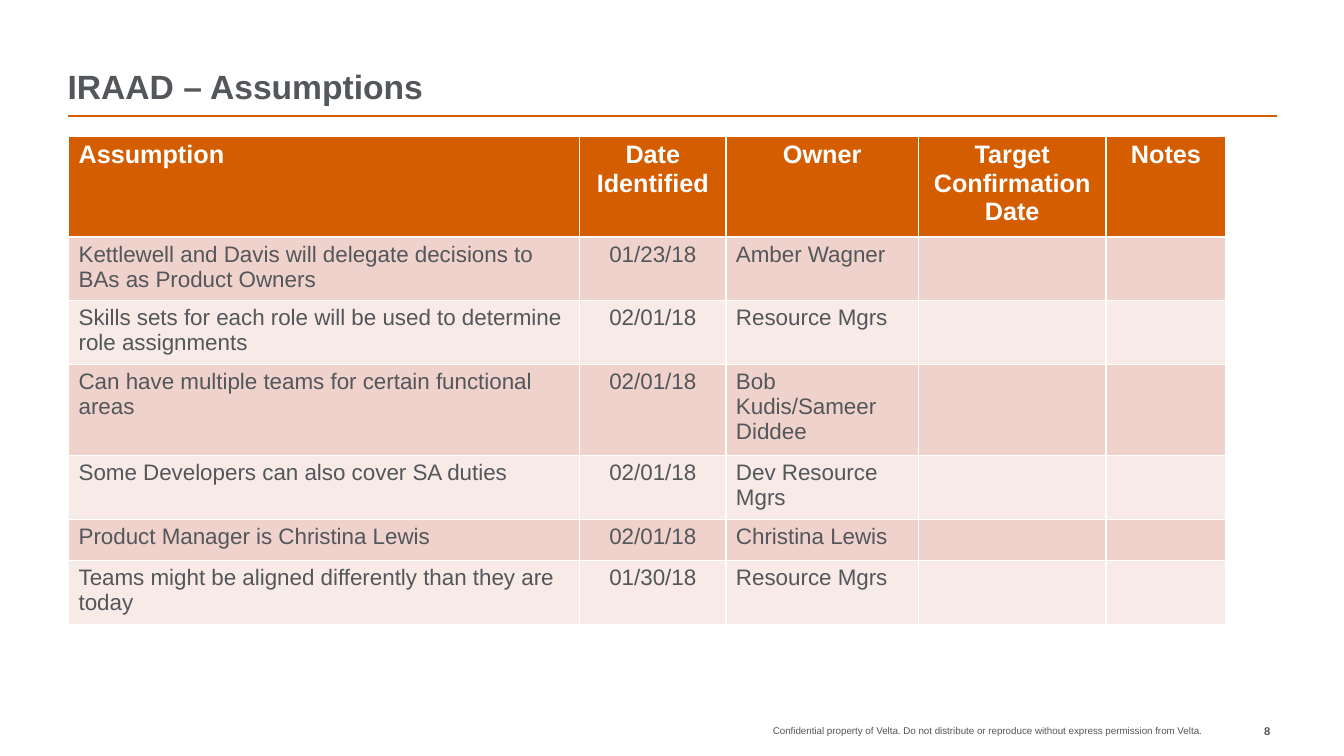
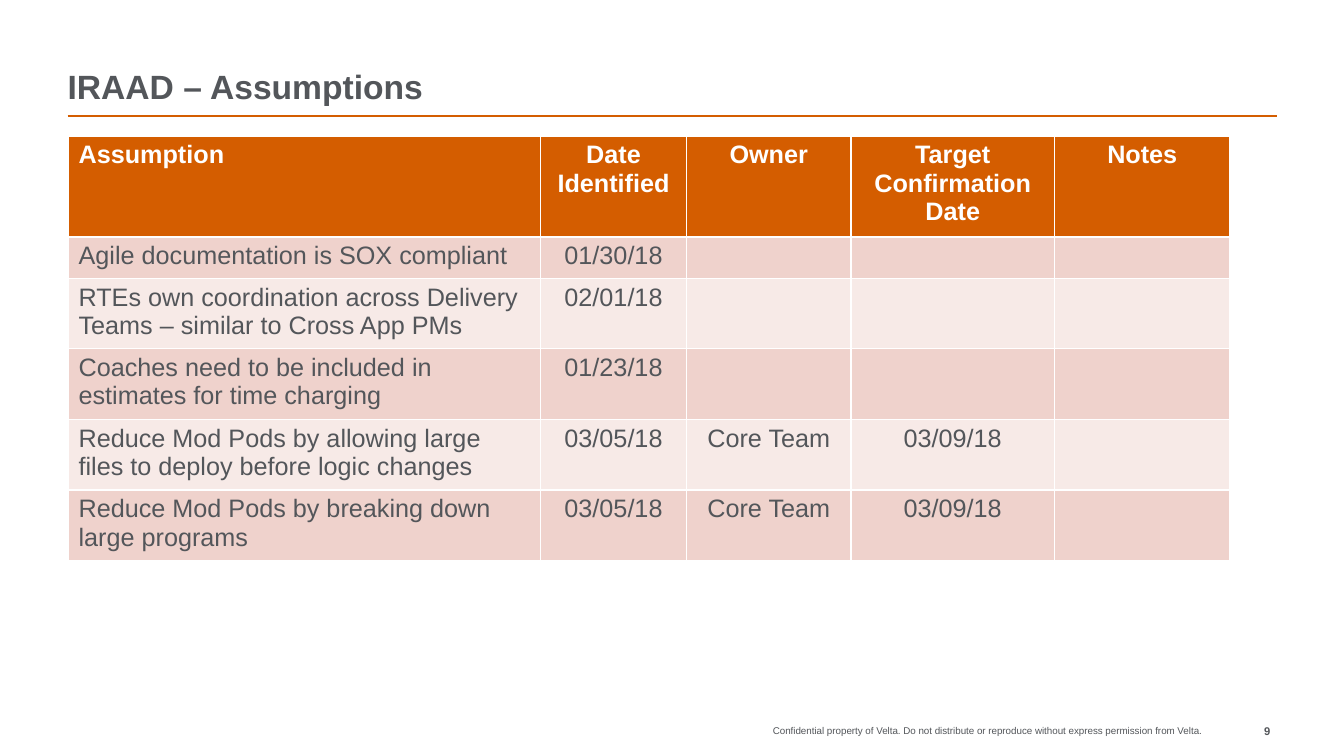
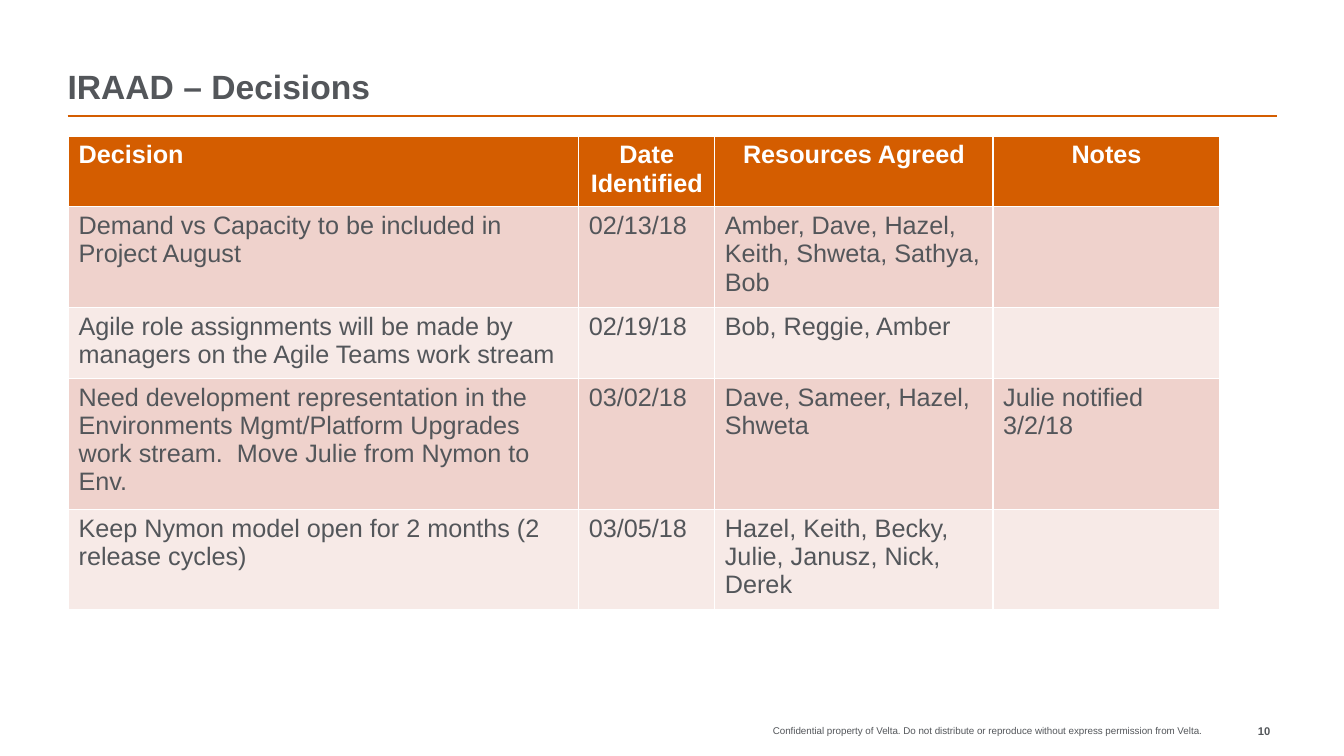
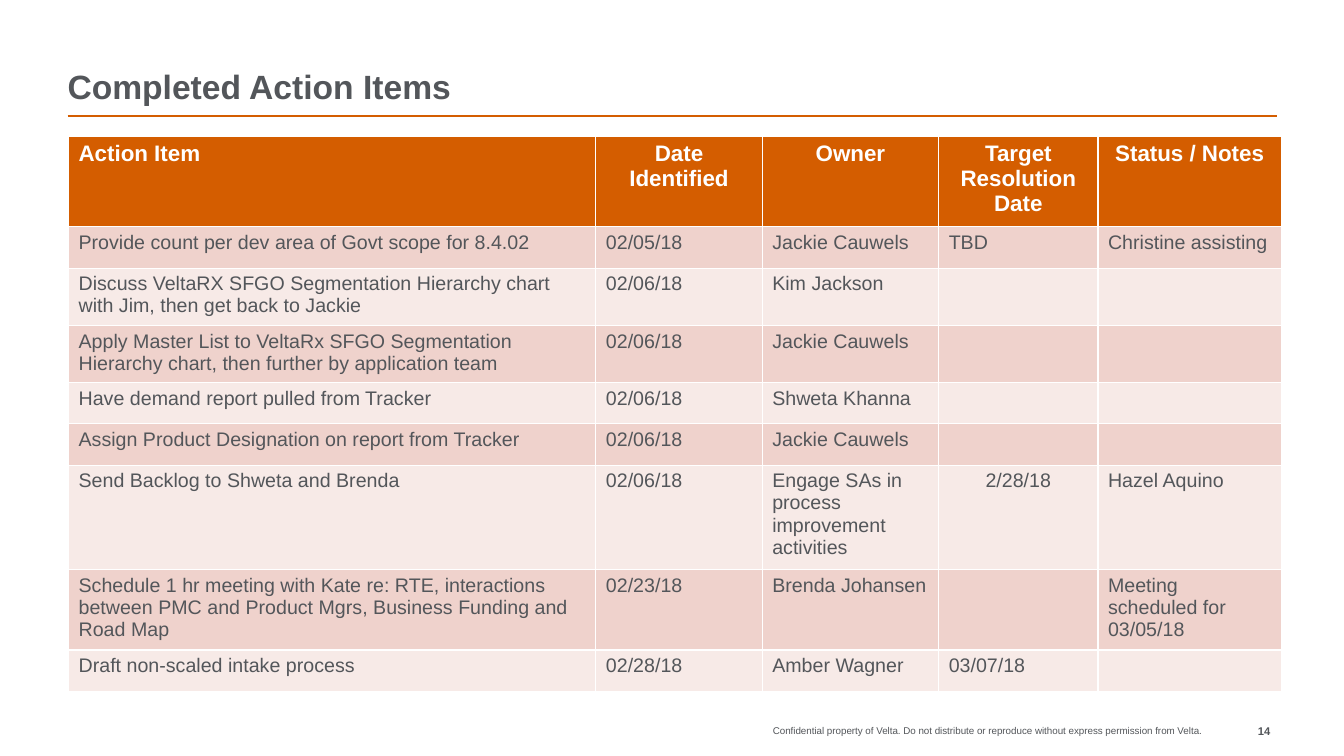
from lxml.etree import SubElement
from pptx import Presentation
from pptx.dml.color import RGBColor
from pptx.enum.shapes import MSO_CONNECTOR as Connector
from pptx.enum.text import MSO_ANCHOR as Anchor, PP_ALIGN as Align
from pptx.oxml.ns import qn
from pptx.util import Inches, Pt

FONT = "Arial"
ORANGE = "D45D00"
GRAY = "53565A"
WHITE = "FFFFFF"
BANDS = ("EFD2CC", "F7EAE7")
ALIGNMENTS = {"l": Align.LEFT, "c": Align.CENTER, "r": Align.RIGHT}

SLIDE_WIDTH, SLIDE_HEIGHT = 13.33, 7.5
MARGIN, CONTENT_WIDTH = 0.67, 12
TITLE_TOP, TITLE_HEIGHT = 0.21, 0.84
RULE_TOP = 1.15
TABLE_LEFT, TABLE_TOP, ROW_HEIGHT = 0.68, 1.35, 0.41
FOOTER_LEFT, FOOTER_TOP, FOOTER_WIDTH, FOOTER_HEIGHT = 4.83, 7.19, 7.09, 0.23
NUMBER_LEFT, NUMBER_WIDTH = 11.93, 0.67

FOOTER = ("Confidential property of Velta. Do not distribute or reproduce "
          "without express permission from Velta.")
ASSUMPTION_HEADER = ("Assumption", "Date Identified", "Owner",
                     "Target Confirmation Date", "Notes")

TABLE_SLIDES = [
    dict(
        title="IRAAD – Assumptions", number=8,
        widths=(5.07, 1.45, 1.91, 1.86, 1.19), alignments="lclll",
        header_size=18, body_size=16, header=ASSUMPTION_HEADER,
        body=[
            ("Kettlewell and Davis will delegate decisions to BAs as Product Owners",
             "01/23/18", "Amber Wagner", "", ""),
            ("Skills sets for each role will be used to determine role assignments",
             "02/01/18", "Resource Mgrs", "", ""),
            ("Can have multiple teams for certain functional areas",
             "02/01/18", "Bob Kudis/Sameer Diddee", "", ""),
            ("Some Developers can also cover SA duties",
             "02/01/18", "Dev Resource Mgrs", "", ""),
            ("Product Manager is Christina Lewis",
             "02/01/18", "Christina Lewis", "", ""),
            ("Teams might be aligned differently than they are today",
             "01/30/18", "Resource Mgrs", "", ""),
        ],
    ),
    dict(
        title="IRAAD – Assumptions", number=9,
        widths=(4.68, 1.45, 1.63, 2.02, 1.74), alignments="lcccl",
        header_size=18, body_size=18, header=ASSUMPTION_HEADER,
        body=[
            ("Agile documentation is SOX compliant", "01/30/18", "", "", ""),
            ("RTEs own coordination across Delivery Teams – similar to Cross App PMs",
             "02/01/18", "", "", ""),
            ("Coaches need to be included in estimates for time charging",
             "01/23/18", "", "", ""),
            ("Reduce Mod Pods by allowing large files to deploy before logic changes",
             "03/05/18", "Core Team", "03/09/18", ""),
            ("Reduce Mod Pods by breaking down large programs",
             "03/05/18", "Core Team", "03/09/18", ""),
        ],
    ),
    dict(
        title="IRAAD – Decisions", number=10,
        widths=(5.06, 1.35, 2.76, 2.25), alignments="llll",
        header_size=18, body_size=18,
        header=("Decision", "Date Identified", "Resources Agreed", "Notes"),
        body=[
            ("Demand vs Capacity to be included in Project August",
             "02/13/18", "Amber, Dave, Hazel, Keith, Shweta, Sathya, Bob", ""),
            ("Agile role assignments will be made by managers on the Agile Teams work stream",
             "02/19/18", "Bob, Reggie, Amber", ""),
            ("Need development representation in the Environments Mgmt/Platform Upgrades "
             "work stream.  Move Julie from Nymon to Env.",
             "03/02/18", "Dave, Sameer, Hazel, Shweta", "Julie notified 3/2/18"),
            ("Keep Nymon model open for 2 months (2 release cycles)",
             "03/05/18", "Hazel, Keith, Becky, Julie, Janusz, Nick, Derek", ""),
        ],
    ),
    dict(
        title="Completed Action Items", number=14,
        widths=(5.23, 1.65, 1.75, 1.58, 1.82), alignments="lllll",
        header_size=16, body_size=14, centered_texts=("2/28/18",),
        header=("Action Item", "Date Identified", "Owner",
                "Target Resolution Date", "Status / Notes"),
        body=[
            ("Provide count per dev area of Govt scope for 8.4.02",
             "02/05/18", "Jackie Cauwels", "TBD", "Christine assisting"),
            ("Discuss VeltaRX SFGO Segmentation Hierarchy chart with Jim, "
             "then get back to Jackie",
             "02/06/18", "Kim Jackson", "", ""),
            ("Apply Master List to VeltaRx SFGO Segmentation Hierarchy chart, "
             "then further by application team",
             "02/06/18", "Jackie Cauwels", "", ""),
            ("Have demand report pulled from Tracker",
             "02/06/18", "Shweta Khanna", "", ""),
            ("Assign Product Designation on report from Tracker",
             "02/06/18", "Jackie Cauwels", "", ""),
            ("Send Backlog to Shweta and Brenda", "02/06/18",
             "Engage SAs in process improvement activities", "2/28/18", "Hazel Aquino"),
            ("Schedule 1 hr meeting with Kate re: RTE, interactions between PMC and "
             "Product Mgrs, Business Funding and Road Map",
             "02/23/18", "Brenda Johansen", "", "Meeting scheduled for 03/05/18"),
            ("Draft non-scaled intake process",
             "02/28/18", "Amber Wagner", "03/07/18", ""),
        ],
    ),
]


def color(value):
    return RGBColor.from_string(value)


def write_text(frame, text, size=18, text_color=GRAY, bold=False, align="l"):
    paragraph = frame.paragraphs[0]
    paragraph.alignment = ALIGNMENTS[align]
    run = paragraph.add_run()
    run.text = text
    run.font.name = FONT
    run.font.size = Pt(size)
    run.font.bold = bold
    run.font.color.rgb = color(text_color)


def add_text_box(slide, text, left, top, width, height, anchor=Anchor.TOP, **text_format):
    box = slide.shapes.add_textbox(Inches(left), Inches(top), Inches(width), Inches(height))
    frame = box.text_frame
    frame.word_wrap = True
    frame.vertical_anchor = anchor
    frame.margin_left = frame.margin_right = frame.margin_top = frame.margin_bottom = 0
    write_text(frame, text, **text_format)


def add_title(slide, title):
    add_text_box(slide, title, MARGIN, TITLE_TOP, CONTENT_WIDTH, TITLE_HEIGHT,
                 anchor=Anchor.BOTTOM, size=24, bold=True)
    rule = slide.shapes.add_connector(
        Connector.STRAIGHT, Inches(MARGIN), Inches(RULE_TOP),
        Inches(MARGIN + CONTENT_WIDTH), Inches(RULE_TOP))
    rule.line.color.rgb = color(ORANGE)
    rule.line.width = Pt(1)
    SubElement(rule.element.spPr, qn("a:effectLst"))


def add_footer(slide, number):
    add_text_box(slide, FOOTER, FOOTER_LEFT, FOOTER_TOP, FOOTER_WIDTH, FOOTER_HEIGHT,
                 size=7, align="r")
    add_text_box(slide, str(number), NUMBER_LEFT, FOOTER_TOP, NUMBER_WIDTH, FOOTER_HEIGHT,
                 size=8, bold=True, align="r")


def fill_cell(cell, text, fill, **text_format):
    cell.fill.solid()
    cell.fill.fore_color.rgb = color(fill)
    if text:
        write_text(cell.text_frame, text, **text_format)


def add_grid(slide, row_count, widths):
    table = slide.shapes.add_table(
        row_count, len(widths), Inches(TABLE_LEFT), Inches(TABLE_TOP),
        Inches(sum(widths)), Inches(ROW_HEIGHT * row_count)).table
    for column, width in zip(table.columns, widths):
        column.width = Inches(width)
    for row in table.rows:
        row.height = Inches(ROW_HEIGHT)
    return table


def add_banded_table(slide, header, body, widths, alignments,
                     header_size, body_size, centered_texts=()):
    table = add_grid(slide, len(body) + 1, widths)
    for column_index, text in enumerate(header):
        fill_cell(table.cell(0, column_index), text, ORANGE, size=header_size,
                  text_color=WHITE, bold=True, align="c" if column_index else "l")
    for body_index, texts in enumerate(body):
        band = BANDS[body_index % len(BANDS)]
        for column_index, text in enumerate(texts):
            align = "c" if text in centered_texts else alignments[column_index]
            fill_cell(table.cell(body_index + 1, column_index), text, band,
                      size=body_size, align=align)


def add_table_slide(presentation, title, number, **table_content):
    slide = presentation.slides.add_slide(presentation.slide_layouts[6])
    add_title(slide, title)
    add_footer(slide, number)
    add_banded_table(slide, **table_content)


def main():
    presentation = Presentation()
    presentation.slide_width = Inches(SLIDE_WIDTH)
    presentation.slide_height = Inches(SLIDE_HEIGHT)
    for content in TABLE_SLIDES:
        add_table_slide(presentation, **content)
    presentation.save("out.pptx")


if __name__ == "__main__":
    main()
